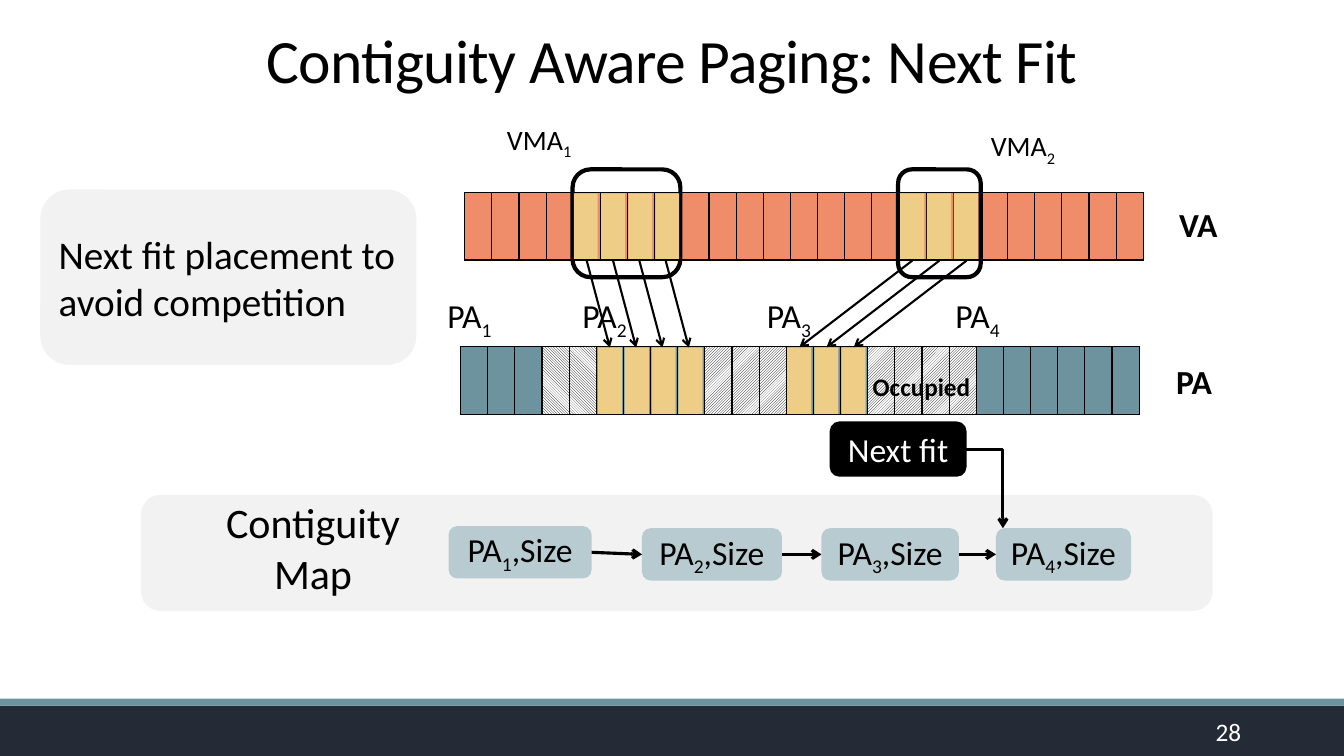
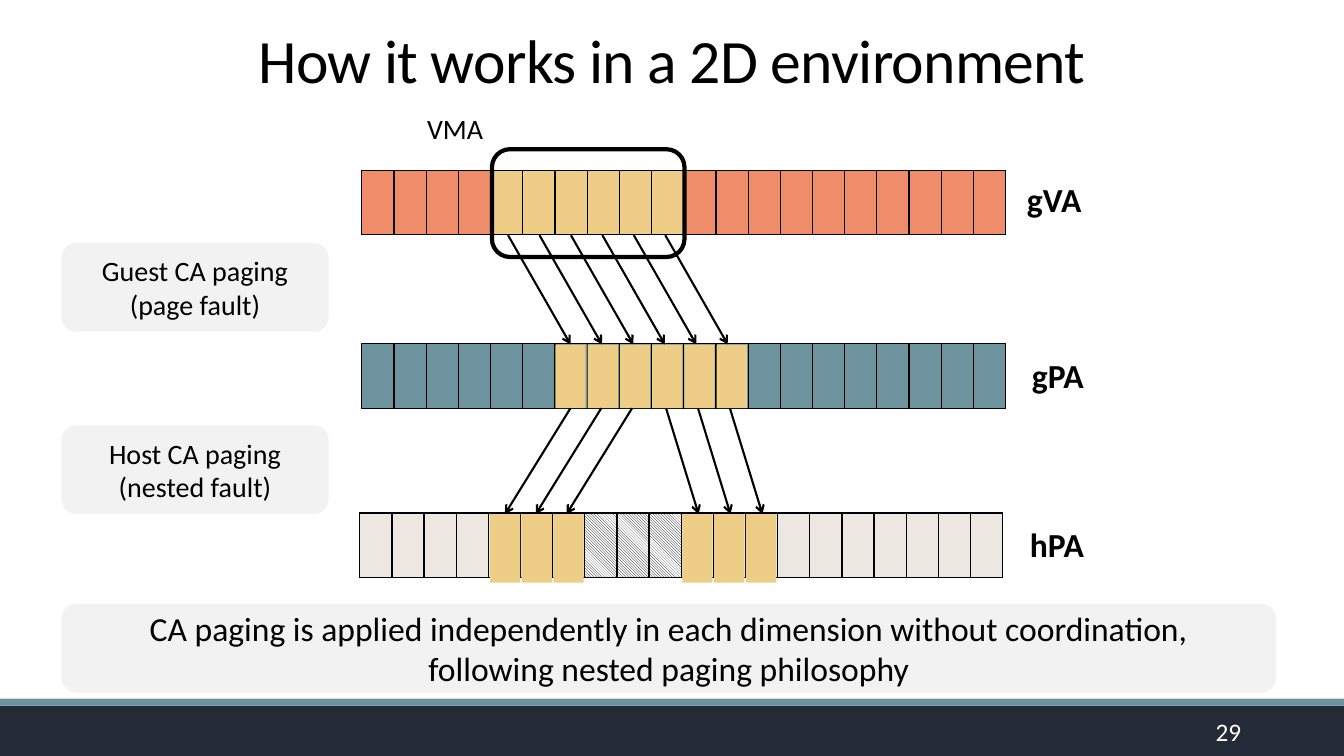
"""Build two slides on contiguity aware paging."""
from lxml import etree
from pptx import Presentation
from pptx import util as u
from pptx.dml.color import RGBColor
from pptx.enum import dml, shapes, text
from pptx.oxml import parse_xml
from pptx.oxml.ns import nsdecls, qn

rgb = RGBColor.from_string
BLACK, WHITE, NAVY, TEAL = "000000", "FFFFFF", "242B37", "6D939E"
ORANGE, YELLOW, PALE, SAND, MIST = "EF8C6A", "EECD86", "F2F2F2", "ECE8E1", "B8CBD0"
RECT, ROUND = shapes.MSO_SHAPE.RECTANGLE, shapes.MSO_SHAPE.ROUNDED_RECTANGLE
LEFT, CENTER, RIGHT = text.PP_ALIGN.LEFT, text.PP_ALIGN.CENTER, text.PP_ALIGN.RIGHT
TOP, MIDDLE, BOTTOM = text.MSO_ANCHOR.TOP, text.MSO_ANCHOR.MIDDLE, text.MSO_ANCHOR.BOTTOM
STRAIGHT, ELBOW = shapes.MSO_CONNECTOR.STRAIGHT, shapes.MSO_CONNECTOR.ELBOW


def add_box(page, kind, place, words="", size=24, fill=None, line=None, weight=1.25,
            color=BLACK, bold=False, align=CENTER, anchor=MIDDLE, wrap=True):
    """Add a shape, or a text box if kind is None; "_" lowers the next character."""
    place = [u.Pt(value) for value in place]
    if kind is None:
        box = page.shapes.add_textbox(*place)
    else:
        box = page.shapes.add_shape(kind, *place)
        box.shadow.inherit = False
        if fill:
            box.fill.solid()
            box.fill.fore_color.rgb = rgb(fill)
        else:
            box.fill.background()
        if line:
            box.line.color.rgb = rgb(line)
            box.line.width = u.Pt(weight)
        else:
            box.line.fill.background()
    if not words:
        return box
    frame = box.text_frame
    frame.word_wrap = wrap
    frame.vertical_anchor = anchor
    for index, row in enumerate(words.split("\n")):
        para = frame.add_paragraph() if index else frame.paragraphs[0]
        para.alignment = align
        first, *lowered = row.split("_")
        pieces = [(first, False)]
        for part in lowered:
            pieces += [(part[0], True), (part[1:], False)]
        for piece, low in pieces:
            if piece:
                span = para.add_run()
                span.text = piece
                formats = {"name": "Calibri", "size": u.Pt(size), "bold": bold}
                for name, value in formats.items():
                    setattr(span.font, name, value)
                span.font.color.rgb = rgb(color)
                if low:
                    span.font._element.set("baseline", "-25000")
    return box


def add_arrow(page, ends, weight=1.5, kind=STRAIGHT):
    """Add a black connector with an open arrowhead at its end."""
    arrow = page.shapes.add_connector(kind, *[u.Pt(value) for value in ends])
    arrow.line.color.rgb = rgb(BLACK)
    arrow.line.width = u.Pt(weight)
    properties = arrow.element.spPr
    etree.SubElement(properties.find(qn("a:ln")), qn("a:tailEnd"), type="arrow")
    etree.SubElement(properties, qn("a:effectLst"))
    return arrow


deck = Presentation()
deck.slide_width, deck.slide_height = u.Pt(960), u.Pt(540)
blank = deck.slide_layouts[6]
for placeholder in list(blank.placeholders):
    placeholder.element.getparent().remove(placeholder.element)

pages = []
for number, heading in ((28, "Contiguity Aware Paging: Next Fit"),
                        (29, "How it works in a 2D environment")):
    page = deck.slides.add_slide(blank)
    title = add_box(page, None, (0, 0.7, 960, 71.3), heading, 44, anchor=BOTTOM)
    para = title.text_frame.paragraphs[0]
    para.line_spacing = 0.85
    para.runs[0].font._element.set("spc", "-50")
    add_box(page, None, (790.6, 508.3, 103, 28.8), str(number), 18, color=WHITE, align=RIGHT)
    pages.append(page)
fit, nested = pages

for top, height, color in ((504, 36, NAVY), (499, 5, TEAL)):
    band = add_box(fit, RECT, (0, top, 960, height), fill=color)
    blank.shapes.element.append(band.element)

fills = {"o": ORANGE, "y": YELLOW, "t": TEAL, "s": SAND}
patterns = {"d": dml.MSO_PATTERN.DARK_DOWNWARD_DIAGONAL,
            "u": dml.MSO_PATTERN.DARK_UPWARD_DIAGONAL}
strips = (
    (fit, 331.9, 137.5, 19.41, 48.2, "o" * 25),
    (fit, 329, 247.7, 19.41, 48.2, "tttddttttuuutttuuuutttttt"),
    (nested, 258.5, 121.7, 23, 46.1, "oooo" + "y" * 6 + "o" * 10),
    (nested, 258.5, 245.5, 23, 46.1, "t" * 20),
    (nested, 257, 366.5, 22.97, 46.1, "s" * 7 + "ddd" + "s" * 10),
)
for page, left, top, width, height, codes in strips:
    table = page.shapes.add_table(1, len(codes), u.Pt(left), u.Pt(top),
                                  u.Pt(width * len(codes)), u.Pt(height)).table
    table.first_row = table.horz_banding = False
    for column, code in enumerate(codes):
        table.columns[column].width = u.Pt(width)
        cell = table.cell(0, column)
        if code in fills:
            cell.fill.solid()
            cell.fill.fore_color.rgb = rgb(fills[code])
        else:
            cell.fill.patterned()
            cell.fill.pattern = patterns[code]
            cell.fill.fore_color.rgb = rgb(BLACK)
            cell.fill.back_color.rgb = rgb(WHITE)
        for index, side in enumerate("LRTB"):
            cell._tc.get_or_add_tcPr().insert(index, parse_xml(
                f'<a:ln{side} {nsdecls("a")} w="12700"><a:solidFill>'
                f'<a:srgbClr val="{BLACK}"/></a:solidFill></a:ln{side}>'))

for page, *place in ((fit, 409, 121, 77, 77), (fit, 641.5, 121, 59, 77),
                     (nested, 351.4, 106.6, 137.5, 77)):
    add_box(page, ROUND, place, line=BLACK, weight=3)

for page, left, top, step, width, height, count in (
        (fit, 410, 138.2, 19.4, 17, 46.8, 4), (fit, 643, 138.2, 19.1, 17.3, 46.8, 3),
        (fit, 427, 248.2, 19.2, 17.3, 47.5, 4), (fit, 562.3, 248.2, 19.4, 17.3, 47.5, 3),
        (nested, 396.7, 246.2, 23.04, 21.6, 45.4, 6),
        (nested, 349.9, 367.2, 22.7, 21.6, 49, 3), (nested, 487.4, 367.2, 22.7, 21.6, 49, 3)):
    for index in range(count):
        add_box(page, RECT, (left + index * step, top, width, height), fill=YELLOW)

for page, start, top, end, bottom, step, count in (
        (fit, 419, 185.8, 435.6, 248.2, 18.8, 4), (fit, 651.6, 186.2, 571, 248, 19.4, 3),
        (nested, 362.9, 168, 407.5, 246, 22.46, 6),
        (nested, 407.5, 291.6, 360.7, 367.2, 22, 3),
        (nested, 475.9, 292, 499, 367.2, 22.8, 3)):
    for index in range(count):
        shift = index * step
        add_arrow(page, (start + shift, top, end + shift, bottom))

for page, words, left, top, width, size, bold in (
        (fit, "VA", 835.2, 141.8, 42.5, 24, True), (fit, "PA", 833, 254.2, 40.3, 24, True),
        (fit, "VMA_1", 355, 84.2, 62, 20, False), (fit, "VMA_2", 700.6, 88.6, 62, 20, False),
        (fit, "PA_1", 312.5, 207.4, 47.5, 24, False), (fit, "PA_2", 409, 207.4, 47.5, 24, False),
        (fit, "PA_3", 540.7, 207.4, 47.5, 24, False), (fit, "PA_4", 675.4, 207.4, 47.5, 24, False),
        (fit, "Occupied", 616.3, 261.4, 84.2, 18, True),
        (nested, "VMA", 298, 76.3, 55.4, 20, False), (nested, "gVA", 726.5, 124.6, 54, 24, True),
        (nested, "gPA", 730, 249.8, 51.8, 24, True), (nested, "hPA", 728.6, 370.8, 53.3, 24, True)):
    add_box(page, None, (left, top, width, size * 1.5), words, size, bold=bold,
            align=LEFT, anchor=TOP, wrap=False)

add_box(fit, ROUND, (28.8, 135.4, 268.6, 125.3), "Next fit placement to avoid competition",
        28, PALE, align=LEFT)
add_box(fit, ROUND, (100.8, 353.5, 765.4, 82.8), fill=PALE)
add_box(fit, None, (149.8, 351.4, 147.6, 80), "Contiguity Map", 30, anchor=TOP)
nodes = []
for index, (left, top, width) in enumerate(((320.4, 375.8, 102.2), (458.6, 377.3, 100),
                                            (586.8, 377.3, 98.2), (711.4, 377.3, 96.5)), 1):
    nodes.append(add_box(fit, ROUND, (left, top, width, 37.4), f"PA_{index},Size", fill=MIST))
for node, following in zip(nodes, nodes[1:]):
    link = add_arrow(fit, (0, 0, 0, 0), 2.25)
    link.begin_connect(node, 3)
    link.end_connect(following, 1)
pointer = add_box(fit, ROUND, (593.3, 301.7, 96.5, 38.2), "Next fit",
                  fill=BLACK, line=BLACK, color=WHITE)
bend = add_arrow(fit, (689.8, 320.8, 716.4, 377.3), 2.25, ELBOW)
bend.element.spPr.find(qn("a:prstGeom")).set("prst", "bentConnector2")
bend.begin_connect(pointer, 3)

for words, size, *place in (
        ("Guest CA paging\n(page fault)", 20, 43.9, 173.5, 190.8, 63.4),
        ("Host CA paging\n(nested fault)", 20, 43.9, 303.8, 190.8, 63.4),
        ("CA paging is applied independently in each dimension without coordination,\n"
         "following nested paging philosophy", 24, 43.9, 431.3, 867.6, 63.4)):
    add_box(nested, ROUND, place, words, size, PALE)

deck.save("out.pptx")
